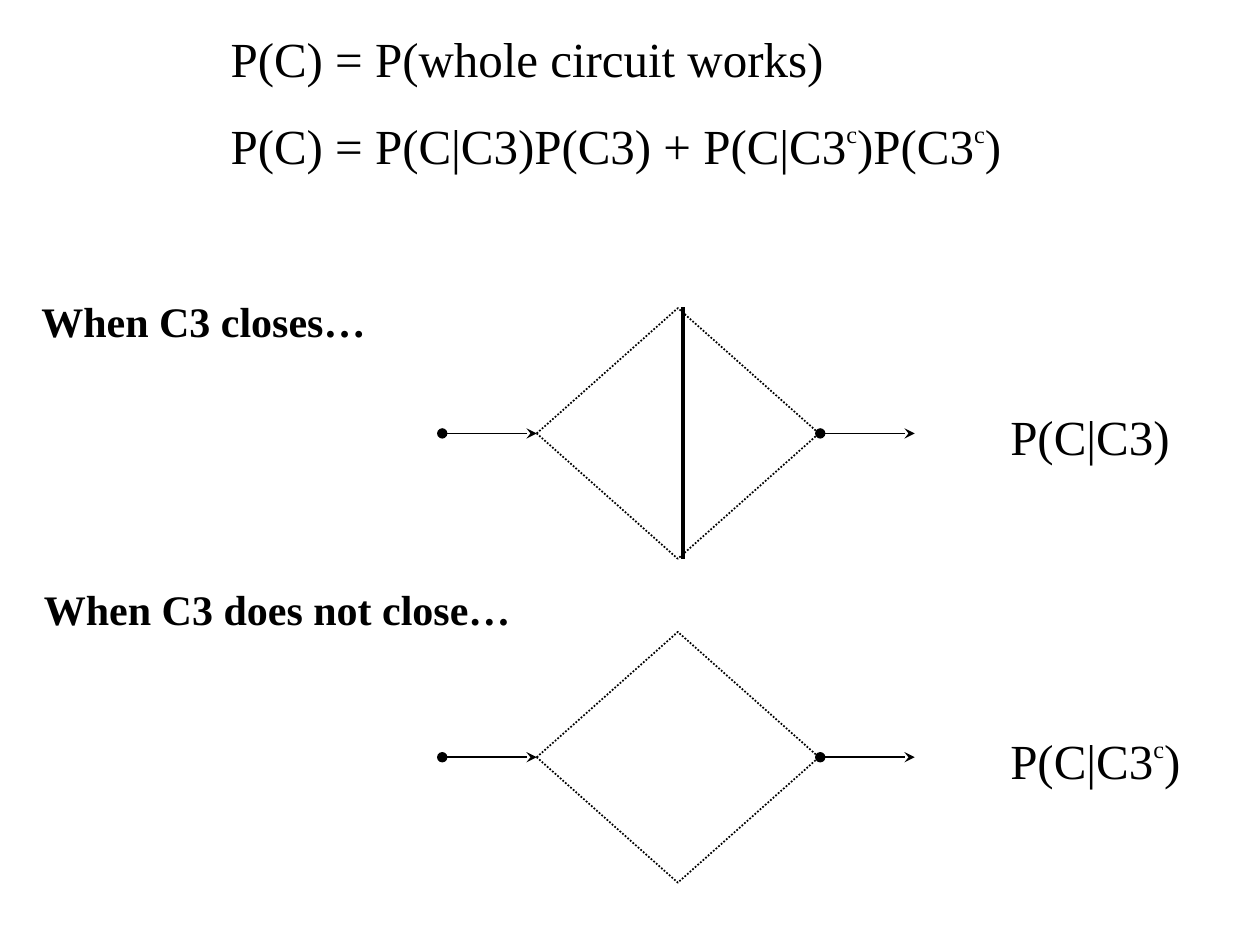
import pptx
import pptx.util
import pptx.dml.color
import pptx.enum.dml
import pptx.enum.shapes
import pptx.enum.text
import pptx.oxml.ns
from lxml import etree

Inches, Pt = pptx.util.Inches, pptx.util.Pt
BLACK = pptx.dml.color.RGBColor(0, 0, 0)
FONT = "Times New Roman"

# Content: "^" switches the superscript on and off
EQUATIONS = ["P(C) = P(whole circuit works)",
             "P(C) = P(C|C3)P(C3) + P(C|C3^c^)P(C3^c^)"]
CASES = [
    {"heading": "When C3 closes…", "heading_at": (0.23, 2.3, 2.86, 0.5),
     "probability": "P(C|C3)", "middle": 3.44, "closed": True},
    {"heading": "When C3 does not close…", "heading_at": (0.25, 4.58, 3.98, 0.5),
     "probability": "P(C|C3^c^)", "middle": 6.01, "closed": False},
]

# Circuit geometry
DIAMOND_LEFT, DIAMOND_WIDTH, DIAMOND_HEIGHT = 4.26, 2.24, 1.99
WIRE_STARTS, WIRE_LENGTH = (3.51, 6.51), 0.75
BRIDGE_X, BRIDGE_HEIGHT = 5.42, 2


def write(box, lines, size, bold=False, wrap=True, gap=0):
    frame = box.text_frame
    frame.word_wrap = wrap
    frame.auto_size = pptx.enum.text.MSO_AUTO_SIZE.SHAPE_TO_FIT_TEXT
    frame.vertical_anchor = pptx.enum.text.MSO_ANCHOR.TOP
    for index, line in enumerate(lines):
        paragraph = frame.add_paragraph() if index else frame.paragraphs[0]
        paragraph.alignment = pptx.enum.text.PP_ALIGN.LEFT
        if index:
            paragraph.space_before = Pt(gap)
        for part, text in enumerate(line.split("^")):
            run = paragraph.add_run()
            run.text = text
            run.font.name, run.font.bold = FONT, bold
            run.font.size = Pt(size)
            run.font.color.rgb = BLACK
            if part % 2:
                run.font.size = Pt(24)
                run._r.get_or_add_rPr().set("baseline", "50000")


def add_text(slide, at, *args, **options):
    write(slide.shapes.add_textbox(*map(Inches, at)), *args, **options)


def add_line(slide, start, end, width, arrow=False):
    line = slide.shapes.add_connector(
        pptx.enum.shapes.MSO_CONNECTOR.STRAIGHT, *map(Inches, start + end))
    line.line.color.rgb = BLACK
    line.line.width = Pt(width)
    if arrow:
        outline = line.line._get_or_add_ln()
        for tag, kind in (("a:headEnd", "oval"), ("a:tailEnd", "stealth")):
            etree.SubElement(outline, pptx.oxml.ns.qn(tag), type=kind)
    etree.SubElement(line._element.spPr, pptx.oxml.ns.qn("a:effectLst"))


def add_circuit(slide, middle, closed):
    diamond = slide.shapes.add_shape(
        pptx.enum.shapes.MSO_SHAPE.DIAMOND,
        Inches(DIAMOND_LEFT), Inches(middle - DIAMOND_HEIGHT / 2),
        Inches(DIAMOND_WIDTH), Inches(DIAMOND_HEIGHT))
    diamond.shadow.inherit = False
    diamond.fill.background()
    diamond.line.color.rgb = BLACK
    diamond.line.width = Pt(1)
    diamond.line.dash_style = pptx.enum.dml.MSO_LINE.ROUND_DOT
    for x in WIRE_STARTS:
        add_line(slide, (x, middle), (x + WIRE_LENGTH, middle), 1, arrow=True)
    if closed:
        add_line(slide, (BRIDGE_X, middle - BRIDGE_HEIGHT / 2),
                 (BRIDGE_X, middle + BRIDGE_HEIGHT / 2), 2)


def main():
    deck = pptx.Presentation()
    deck.slide_width, deck.slide_height = Inches(10), Inches(7.5)
    slide = deck.slides.add_slide(deck.slide_layouts[5])

    # Equations
    title = slide.shapes.title
    title.left, title.top = Inches(1.73), Inches(0.18)
    title.width, title.height = Inches(6.85), Inches(1.27)
    write(title, EQUATIONS, 28, gap=16)

    # The two cases: heading, circuit, probability
    for case in CASES:
        add_text(slide, case["heading_at"], [case["heading"]], 24,
                 bold=True, wrap=False)
        add_circuit(slide, case["middle"], case["closed"])
        add_text(slide, (7.92, case["middle"] - 0.26, 1.67, 0.57),
                 [case["probability"]], 28)

    deck.save("out.pptx")


if __name__ == "__main__":
    main()
